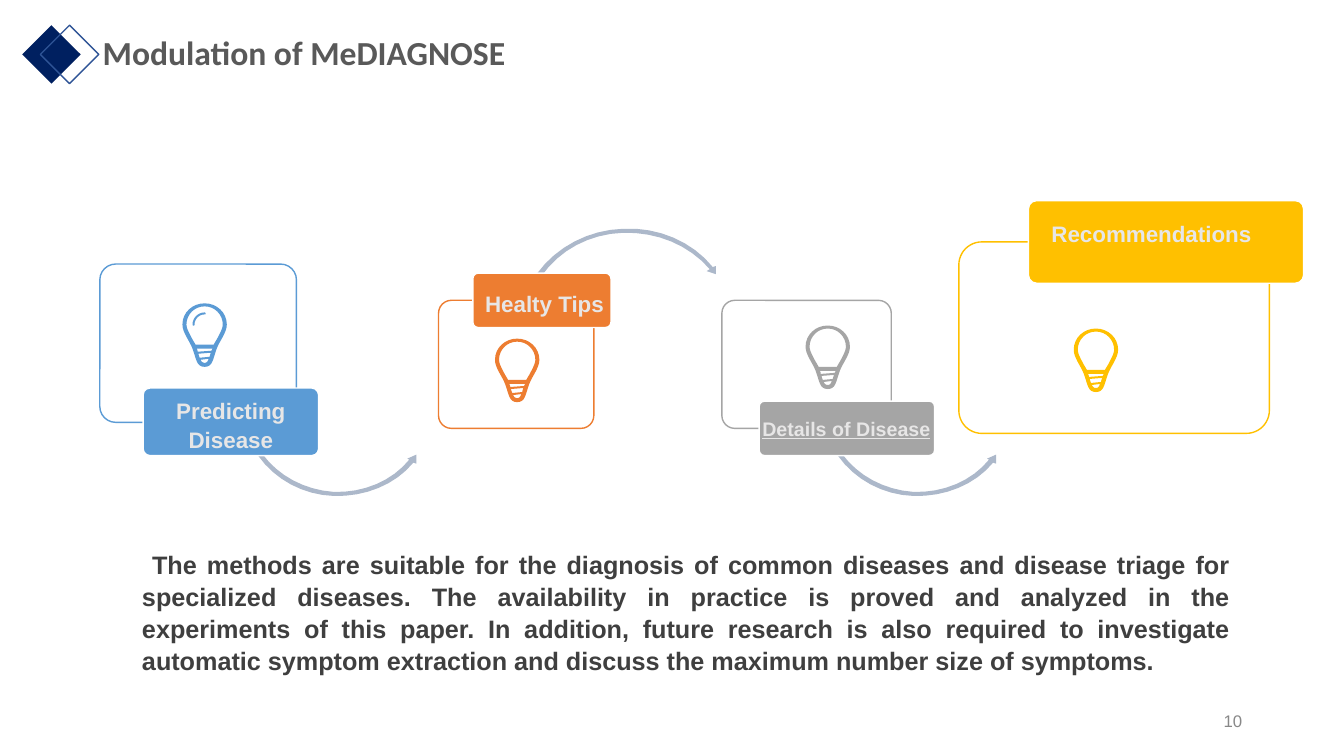
from dataclasses import dataclass

from lxml import etree
from pptx import Presentation
from pptx.dml.color import RGBColor
from pptx.enum.shapes import MSO_SHAPE
from pptx.enum.text import MSO_ANCHOR, PP_ALIGN
from pptx.oxml.ns import qn
from pptx.util import Pt

PX = 9144  # EMU per px, 100 px to the inch
CURVE_STEPS = 8
DIAMOND, ROUNDED = MSO_SHAPE.DIAMOND, MSO_SHAPE.ROUNDED_RECTANGLE
TOP, MIDDLE = MSO_ANCHOR.TOP, MSO_ANCHOR.MIDDLE
LEFT, CENTER, RIGHT, JUSTIFY = (
    PP_ALIGN.LEFT, PP_ALIGN.CENTER, PP_ALIGN.RIGHT, PP_ALIGN.JUSTIFY)


@dataclass(frozen=True)
class Theme:
    heading_font: str = "Calibri"
    body_font: str = "Arial"
    heading_size: int = 24
    body_size: int = 18
    label_size: int = 16
    small_label_size: int = 14
    number_size: int = 12
    line_width: int = 1
    heading: str = "595959"
    body: str = "3F3F3F"
    label: str = "E7E6E6"
    number: str = "888888"
    white: str = "FFFFFF"
    navy: str = "002060"
    navy_line: str = "2F5496"
    arrow: str = "ACB8CA"
    blue: str = "5B9BD5"
    orange: str = "ED7D31"
    gray: str = "A5A5A5"
    gold: str = "FFC000"


# A contour is a start point, then lines (x, y) and curves (x1, y1, x2, y2, x, y).
BULB = [
    [(22, 0), (10, 0, 0, 9, 0, 21), (0, 29, 7, 37, 10, 45), (14, 56, 14, 63, 22, 63),
     (30, 63, 30, 56, 34, 45), (37, 37, 44, 29, 44, 21), (44, 9, 34, 0, 22, 0)],
    [(31, 41), (13, 41), (12, 39, 10, 36, 9, 34), (7, 30, 4, 25, 4, 21),
     (4, 11, 12, 3, 22, 3), (32, 3, 40, 11, 40, 21), (40, 25, 37, 30, 35, 34),
     (34, 36, 32, 39, 31, 41)],
    [(15, 48), (15, 47, 15, 46, 14, 45), (30, 45), (30, 45, 29, 46, 29, 47)],
    [(27, 53), (17, 54), (17, 53, 16, 52, 16, 50), (28, 49), (28, 50, 27, 52, 27, 53)],
    [(22, 59), (20, 59, 19, 58, 18, 56), (26, 55), (25, 58, 24, 59, 22, 59)],
]
GLINT = [
    [(12, 0), (5, 0, 0, 6, 0, 12), (0, 13, 0, 13, 1, 13), (2, 13, 2, 13, 2, 12),
     (2, 7, 6, 2, 12, 2), (13, 2, 13, 2, 13, 1), (13, 1, 13, 0, 12, 0)],
]
LOWER_ARROW = [
    [(0, 1), (4, -1), (20, 21, 46, 35, 75, 37), (105, 38, 133, 26, 150, 5), (148, 4),
     (157, 0), (157, 9), (154, 8), (136, 30, 106, 42, 75, 41), (45, 40, 17, 25, 0, 1)],
]
UPPER_ARROW = [
    [(0, 44), (19, 18, 51, 1, 85, 0), (120, -2, 154, 13, 174, 38), (177, 37), (177, 45),
     (168, 42), (171, 40), (150, 16, 119, 3, 85, 4), (52, 5, 22, 21, 4, 47)],
]


def flatten(contour):
    """Turn a contour into a list of points, sampling its curves."""
    points = [contour[0]]
    for segment in contour[1:]:
        if len(segment) == 2:
            points.append(segment)
            continue
        start = points[-1]
        for step in range(1, CURVE_STEPS + 1):
            t = step / CURVE_STEPS
            weights = ((1 - t) ** 3, 3 * t * (1 - t) ** 2, 3 * t * t * (1 - t), t ** 3)
            points.append(tuple(
                sum(w * v for w, v in zip(weights, (start[axis], *segment[axis::2])))
                for axis in (0, 1)))
    return points


class SlideBuilder:
    def __init__(self, slide, theme):
        self.slide = slide
        self.theme = theme

    def paint(self, shape, fill=None, line=None):
        shape.shadow.inherit = False
        if fill:
            shape.fill.solid()
            shape.fill.fore_color.rgb = RGBColor.from_string(fill)
        else:
            shape.fill.background()
        if line:
            shape.line.color.rgb = RGBColor.from_string(line)
            shape.line.width = Pt(self.theme.line_width)
        else:
            shape.line.fill.background()

    def preset(self, kind, box, fill=None, line=None):
        shape = self.slide.shapes.add_shape(kind, *(v * PX for v in box))
        self.paint(shape, fill, line)
        return shape

    def rounded(self, box, fill, line, corner=0.1, opacity=100):
        shape = self.preset(ROUNDED, box, fill, line)
        shape.adjustments[0] = corner
        if opacity < 100:
            color = shape.element.spPr.find(qn("a:solidFill"))[0]
            etree.SubElement(color, qn("a:alpha")).set("val", str(opacity * 1000))

    def outline(self, contours, left, top, fill):
        """Draw filled contours; inner ones become holes."""
        rings = [[((left + x) * PX, (top + y) * PX) for x, y in flatten(contour)]
                 for contour in contours]
        builder = self.slide.shapes.build_freeform(*rings[0][0], scale=1.0)
        for index, ring in enumerate(rings):
            if index:
                builder.move_to(*ring[0])
            builder.add_line_segments(ring[1:], close=True)
        self.paint(builder.convert_to_shape(), fill)

    def text(self, box, words, size, color, align, font=None, bold=True,
             underline=False, anchor=TOP, spacing=1.06):
        frame = self.slide.shapes.add_textbox(*(v * PX for v in box)).text_frame
        frame.word_wrap = True
        frame.vertical_anchor = anchor
        paragraph = frame.paragraphs[0]
        paragraph.alignment = align
        paragraph.line_spacing = spacing
        run = paragraph.add_run()
        run.text = words
        run.font.name = font or self.theme.body_font
        run.font.size = Pt(size)
        run.font.bold = bold
        run.font.underline = underline
        run.font.color.rgb = RGBColor.from_string(color)

    def module(self, color, card, tag, label_box, label, size, corner=0.1, underline=False):
        """Draw a card with a coloured tag and its label."""
        theme = self.theme
        self.rounded(card, theme.white, color, corner, opacity=90)
        self.rounded(tag, color, theme.white)
        self.text(label_box, label, size, theme.label, CENTER, underline=underline)


def main():
    presentation = Presentation()
    presentation.slide_width = 1333 * PX
    presentation.slide_height = 750 * PX
    theme = Theme()
    builder = SlideBuilder(
        presentation.slides.add_slide(presentation.slide_layouts[6]), theme)

    builder.text((92, 20, 1150, 69), "Modulation of MeDIAGNOSE", theme.heading_size,
                 theme.heading, LEFT, theme.heading_font, anchor=MIDDLE, spacing=0.9)
    builder.text((942, 695, 300, 40), "10", theme.number_size, theme.number, RIGHT,
                 bold=False, anchor=MIDDLE, spacing=1.0)

    for contours, left, top in ((LOWER_ARROW, 256, 451), (UPPER_ARROW, 533, 227),
                                (LOWER_ARROW, 831, 451)):
        builder.outline(contours, left, top, theme.arrow)

    builder.module(theme.blue, (99, 262, 195, 157), (142, 385, 174, 67),
                   (122, 388, 214, 64), "Predicting Disease", theme.label_size)
    builder.module(theme.orange, (435, 298, 154, 127), (469, 271, 137, 54),
                   (469, 281, 142, 37), "Healty Tips", theme.label_size)
    builder.module(theme.gray, (716, 298, 168, 127), (753, 398, 174, 54),
                   (737, 407, 205, 34), "Details of Disease", theme.small_label_size,
                   underline=True)
    builder.module(theme.gold, (951, 240, 308, 190), (1020, 199, 273, 82),
                   (1020, 212, 244, 37), "Recommendations", theme.label_size, corner=0.12)

    for color, left, top in ((theme.blue, 181, 301), (theme.orange, 491, 336),
                             (theme.gray, 799, 323), (theme.gold, 1065, 326)):
        builder.outline(BULB, left, top, color)
    builder.outline(GLINT, 191, 310, theme.blue)

    builder.text(
        (131, 538, 1099, 131),
        " The methods are suitable for the diagnosis of common diseases and disease triage "
        "for specialized diseases. The availability in practice is proved and analyzed in "
        "the experiments of this paper. In addition, future research is also required to "
        "investigate automatic symptom extraction and discuss the maximum number size of "
        "symptoms.",
        theme.body_size, theme.body, JUSTIFY)

    builder.preset(DIAMOND, (22, 25, 58, 58), fill=theme.navy)
    builder.preset(DIAMOND, (40, 25, 58, 58), line=theme.navy_line)
    presentation.save("out.pptx")


if __name__ == "__main__":
    main()
